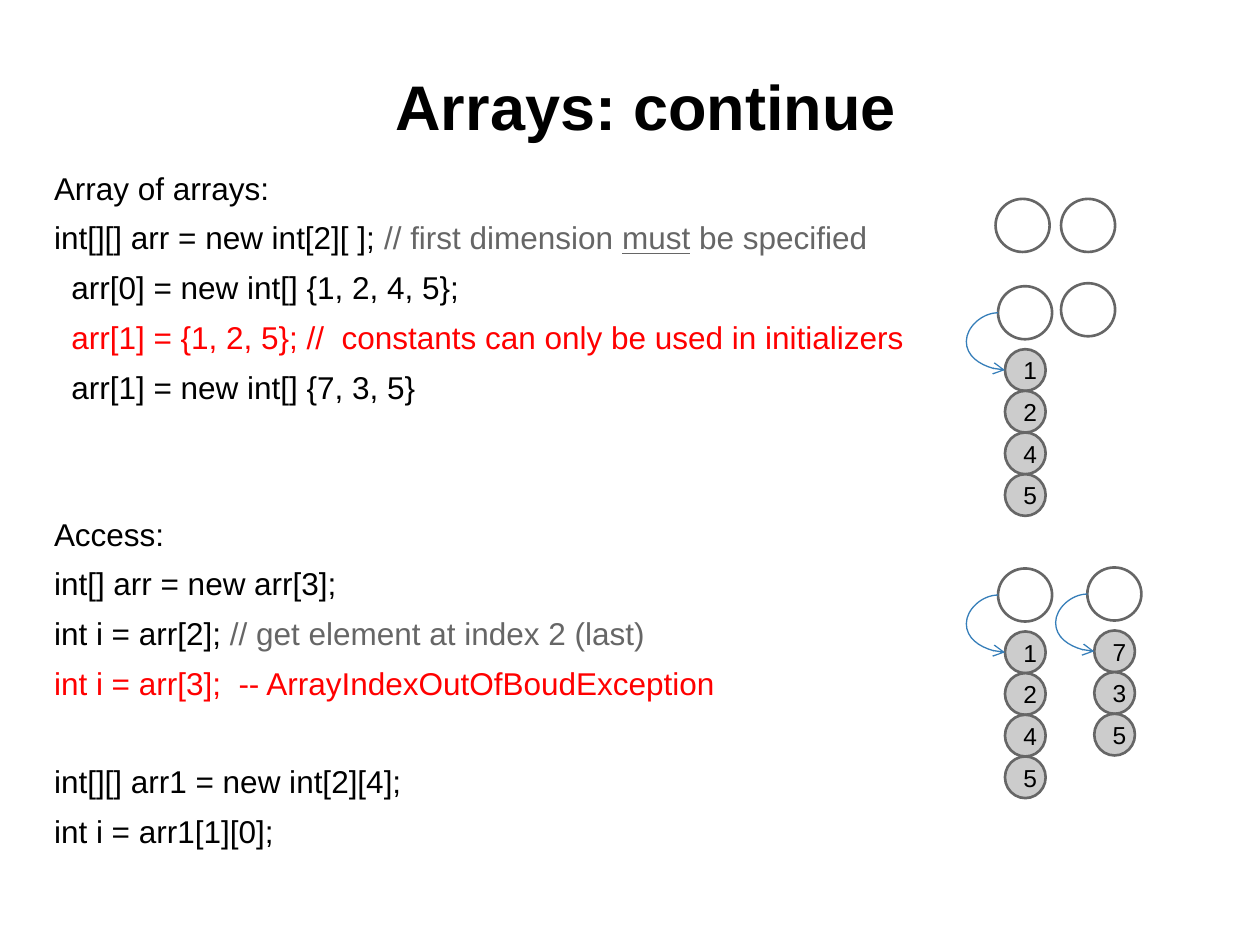
from lxml import etree
from pptx import Presentation
from pptx.dml.color import RGBColor as RGB
from pptx.enum.shapes import MSO_CONNECTOR as CONN, MSO_SHAPE as SHAPE
from pptx.enum.text import MSO_ANCHOR as ANCHOR, PP_ALIGN as ALIGN
from pptx.oxml.ns import qn
from pptx.util import Cm, Pt

BLACK, GRAY, RED = "000000", "666666", "FF0000"
SILVER, BLUE = "CCCCCC", "367EB9"

RING_W, RING_H = 1.09, 1.07   # reference to a row
CELL_W, CELL_H = 0.82, 0.84   # element of a row
CELL_X, CELL_Y = 0.14, 1.27   # first element, relative to its ring
BULGE = 0.64                  # reach of the arrow to the left

GAP, PITCH, TAB = 6.9, 27.6, 0.35  # line gap and pitch in points, code indent

# Each line: blank lines above, indent steps, runs of (text, colour, underline)
LINES = [
    (0, 0, [("Array of arrays:", BLACK, False)]),
    (0, 0, [("int[][] arr = new int[2][ ]; ", BLACK, False),
            ("// first dimension ", GRAY, False),
            ("must", GRAY, True),
            (" be specified", GRAY, False)]),
    (0, 1, [("arr[0] = new int[] {1, 2, 4, 5};", BLACK, False)]),
    (0, 1, [("arr[1] = {1, 2, 5}; //  constants can only be used in initializers",
             RED, False)]),
    (0, 1, [("arr[1] = new int[] {7, 3, 5}", BLACK, False)]),
    (2, 0, [("Access:", BLACK, False)]),
    (0, 0, [("int[] arr = new arr[3];", BLACK, False)]),
    (0, 0, [("int i = arr[2]; ", BLACK, False),
            ("// get element at index 2 (last)", GRAY, False)]),
    (0, 0, [("int i = arr[3];  -- ArrayIndexOutOfBoudException", RED, False)]),
    (1, 0, [("int[][] arr1 = new int[2][4];", BLACK, False)]),
    (0, 0, [("int i = arr1[1][0];", BLACK, False)]),
]


def color(code):
    return RGB.from_string(code)


def set_frame(frame, anchor):
    frame.word_wrap = True
    frame.vertical_anchor = anchor
    frame.margin_left = frame.margin_right = Cm(0.25)
    frame.margin_top = frame.margin_bottom = Cm(0.25)


def add_run(para, text, size, code=BLACK, bold=False, under=False):
    run = para.add_run()
    run.text = text
    font = run.font
    font.name, font.size, font.bold = "Arial", Pt(size), bold
    font.underline = under
    font.color.rgb = color(code)


def add_box(slide, x, y, w, h, anchor):
    frame = slide.shapes.add_textbox(Cm(x), Cm(y), Cm(w), Cm(h)).text_frame
    set_frame(frame, anchor)
    return frame


def add_title(slide, x, y, w, h):
    para = add_box(slide, x, y, w, h, ANCHOR.BOTTOM).paragraphs[0]
    para.alignment = ALIGN.CENTER
    para._p.get_or_add_pPr().set("indent", str(Cm(0.64)))
    add_run(para, "Arrays: continue", 36, bold=True)


def add_code(slide, x, y, w, h):
    frame = add_box(slide, x, y, w, h, ANCHOR.TOP)
    for i, (blank, step, runs) in enumerate(LINES):
        para = frame.add_paragraph() if i else frame.paragraphs[0]
        para.space_before = Pt(GAP + blank * PITCH)
        para._p.get_or_add_pPr().set("marL", str(Cm(step * TAB)))
        for text, code, under in runs:
            add_run(para, text, 18, code, under=under)


def add_oval(slide, x, y, w, h):
    oval = slide.shapes.add_shape(SHAPE.OVAL, Cm(x), Cm(y), Cm(w), Cm(h))
    oval.shadow.inherit = False
    oval.fill.background()
    oval.line.color.rgb = color(GRAY)
    oval.line.width = Pt(1.5)
    return oval


def add_ring(slide, x, y):
    add_oval(slide, x, y, RING_W, RING_H)


def add_cell(slide, x, y, value):
    cell = add_oval(slide, x, y, CELL_W, CELL_H)
    cell.fill.solid()
    cell.fill.fore_color.rgb = color(SILVER)
    set_frame(cell.text_frame, ANCHOR.MIDDLE)
    para = cell.text_frame.paragraphs[0]
    para.alignment = ALIGN.LEFT
    add_run(para, str(value), 14)


def add_arrow(slide, x1, y1, x2, y2):
    arrow = slide.shapes.add_connector(CONN.CURVE, Cm(x1), Cm(y1), Cm(x2), Cm(y2))
    arrow.line.color.rgb = color(BLUE)
    arrow.line.width = Pt(0.75)
    props = arrow._element.spPr
    # Bend the curve out to the left of both ends
    guides = props.find(qn("a:prstGeom")).get_or_add_avLst()
    bend = round(-BULGE / (x2 - x1) * 100000)
    etree.SubElement(guides, qn("a:gd"), name="adj1", fmla=f"val {bend}")
    etree.SubElement(props.find(qn("a:ln")), qn("a:tailEnd"), type="arrow")
    etree.SubElement(props, qn("a:effectLst"))


def add_row(slide, x, y, values):
    """A ring with an arrow to the column of its elements."""
    add_ring(slide, x, y)
    left, top = x + CELL_X, y + CELL_Y
    for i, value in enumerate(values):
        add_cell(slide, left, top + i * CELL_H, value)
    add_arrow(slide, x, y + RING_H / 2, left, top + CELL_H / 2)


def add_steps(slide, x, y):
    # Both rows still empty
    add_ring(slide, x, y)
    add_ring(slide, x + 1.32, y)
    # First row filled
    add_row(slide, x + 0.05, y + 1.76, [1, 2, 4, 5])
    add_ring(slide, x + 1.32, y + 1.7)
    # Both rows filled
    add_row(slide, x + 0.05, y + 7.45, [1, 2, 4, 5])
    add_row(slide, x + 1.85, y + 7.43, [7, 3, 5])


def main():
    deck = Presentation()
    deck.slide_width, deck.slide_height = Cm(25.4), Cm(19.05)
    slide = deck.slides.add_slide(deck.slide_layouts[6])
    add_code(slide, 0.84, 3.15, 22.86, 15.04)
    add_title(slide, 1.27, 1.07, 22.86, 2.06)
    add_steps(slide, 20.07, 4.01)
    deck.save("out.pptx")


if __name__ == "__main__":
    main()
